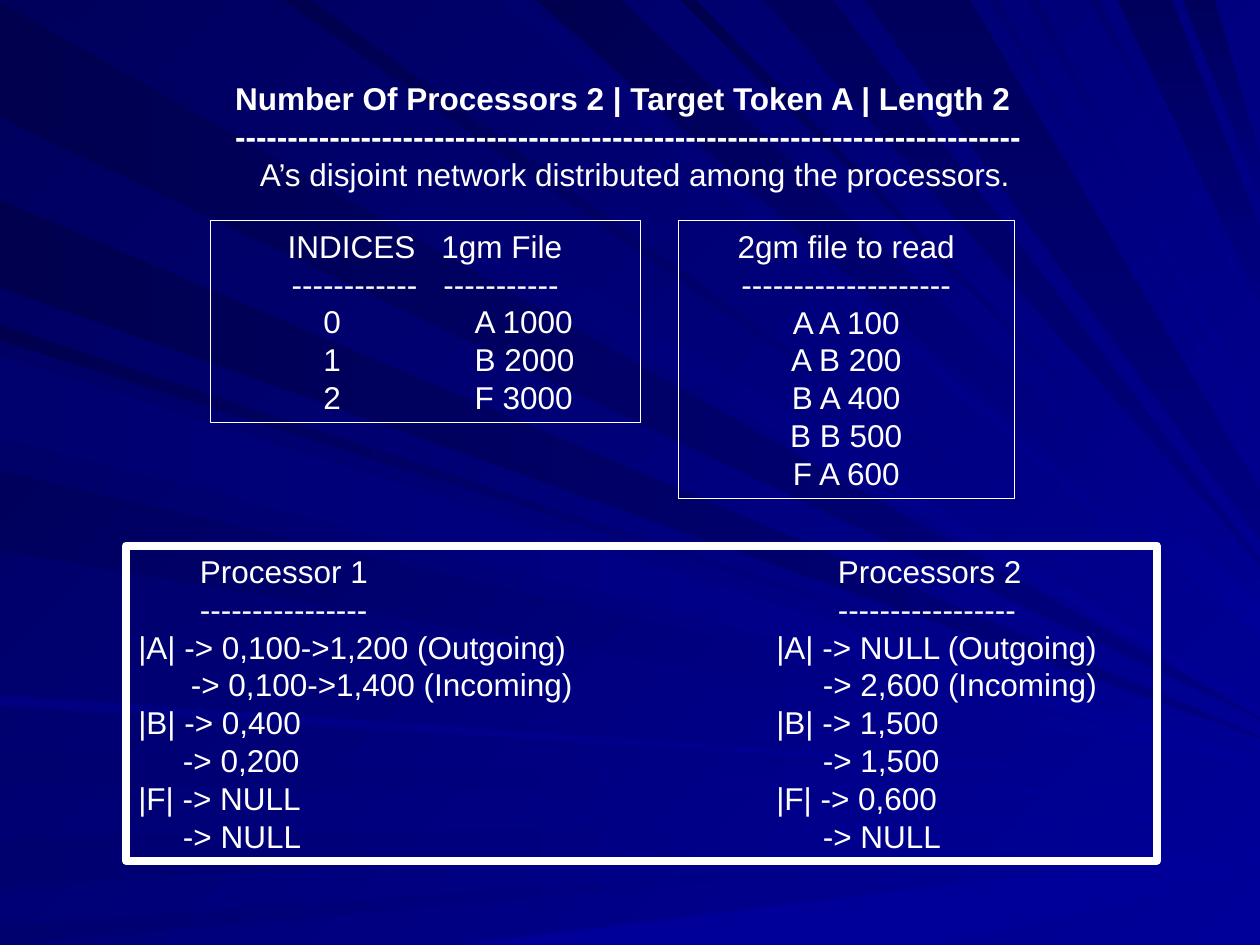
import dataclasses

import lxml.etree
import pptx
import pptx.dml.color
import pptx.enum.shapes
import pptx.enum.text
import pptx.oxml.ns
import pptx.util

Cm = pptx.util.Cm
UP_LEFT, LEFT, DOWN = 135, 180, 270
GRID_WIDTH, GRID_HEIGHT = 1000, 750


@dataclasses.dataclass(frozen=True)
class Box:
    """A region of the slide, in centimetres."""
    left: float
    top: float
    width: float
    height: float

    def lengths(self):
        """Return the four lengths that python-pptx expects."""
        return [Cm(value) for value in dataclasses.astuple(self)]


@dataclasses.dataclass(frozen=True)
class Theme:
    """Colours, type sizes and line widths."""
    font: str = "Arial"
    size: float = 18
    leading: float = 21.6
    ink: str = "FFFFFF"
    thin: float = 0.25
    thick: float = 4.5
    bright: str = "000099"
    middle: str = "000080"
    dusk: str = "00006E"
    dark: str = "00005C"
    night: str = "00004E"


@dataclasses.dataclass(frozen=True)
class RayGroup:
    """Rays from one edge; each has two places on that edge and a height at the right."""
    edge: str
    start: str
    end: str
    direction: int
    rays: tuple
    spread: float = 0.02


THEME = Theme()
RAY_GROUPS = (
    RayGroup("left", THEME.middle, THEME.night, LEFT, ((2, 93, 570), (159, 228, 585))),
    RayGroup("top", THEME.bright, THEME.dark, UP_LEFT, ((26, 101, 563),)),
    RayGroup("left", THEME.bright, THEME.dusk, LEFT, ((596, 623, 632), (665, 704, 647), (735, 750, 662))),
    RayGroup("bottom", THEME.bright, THEME.bright, LEFT, ((364, 742, 683),), 0.06),
    RayGroup("left", THEME.bright, THEME.night, UP_LEFT, ((258, 270, 589),)),
    RayGroup("top", THEME.bright, THEME.dusk, UP_LEFT, ((398, 416, 518),)),
    RayGroup("top", THEME.bright, THEME.night, UP_LEFT, ((426, 492, 493),), 0.42),
    RayGroup("top", THEME.bright, THEME.night, UP_LEFT, ((540, 552, 463), (225, 247, 550))),
    RayGroup("top", THEME.dark, THEME.middle, DOWN, ((606, 661, 446),)),
    RayGroup("top", THEME.dark, THEME.middle, DOWN, ((887, 930, 210), (939, 964, 140)), 1.3),
    RayGroup("left", THEME.bright, THEME.dark, UP_LEFT, ((374, 437, 606),)),
    RayGroup("left", THEME.bright, THEME.middle, LEFT, ((552, 560, 622),)),
    RayGroup("top", THEME.dark, THEME.middle, DOWN, ((686, 770, 409),), 0.45),
    RayGroup("top", THEME.bright, THEME.dusk, UP_LEFT, ((785, 792, 357), (815, 824, 336), (865, 872, 253))),
    RayGroup("left", THEME.bright, THEME.dusk, LEFT, ((283, 347, 604),)),
)


def color(value):
    """Return the colour object for a hexadecimal value."""
    return pptx.dml.color.RGBColor.from_string(value)


def paint(fill, start, end, direction):
    """Fill with a two-stop gradient, or plainly when both stops agree."""
    if start == end:
        fill.solid()
        fill.fore_color.rgb = color(start)
        return
    fill.gradient()
    fill.gradient_angle = direction
    for stop, value in zip(fill.gradient_stops, (start, end)):
        stop.color.rgb = color(value)


def edge_point(edge, place):
    """Return the grid point at a place along an edge."""
    return {"left": (0, place), "top": (place, 0), "bottom": (place, GRID_HEIGHT)}[edge]


def add_rays(slide, box):
    """Draw the background rays, each narrowing or spreading towards the right."""
    left, top, width, _ = box.lengths()
    for group in RAY_GROUPS:
        for first, last, height in group.rays:
            half = group.spread * (last - first) / 2
            upper, lower = (GRID_WIDTH, height - half), (GRID_WIDTH, height + half)
            near, far = edge_point(group.edge, first), edge_point(group.edge, last)
            ends = [upper, lower] if group.edge == "top" else [lower, upper]
            builder = slide.shapes.build_freeform(*near, scale=width / GRID_WIDTH)
            builder.add_line_segments([far, *ends], close=True)
            shape = builder.convert_to_shape(left, top)
            shape.shadow.inherit = False
            shape.line.fill.background()
            paint(shape.fill, group.start, group.end, group.direction)


def add_line(frame, cells, tabs=(), bold=False, indent=0, alignment=pptx.enum.text.PP_ALIGN.LEFT):
    """Write one line whose last cells start at the tab stops."""
    first = not frame.paragraphs[0].runs
    paragraph = frame.paragraphs[0] if first else frame.add_paragraph()
    paragraph.alignment = alignment
    paragraph.line_spacing = pptx.util.Pt(THEME.leading)
    properties = paragraph._p.get_or_add_pPr()
    properties.set("marL", str(Cm(indent)))
    if tabs:
        tab_list = lxml.etree.SubElement(properties, pptx.oxml.ns.qn("a:tabLst"))
        for position in tabs:
            lxml.etree.SubElement(tab_list, pptx.oxml.ns.qn("a:tab"), pos=str(Cm(position)), algn="l")
    for index, cell in enumerate(cells):
        run = paragraph.add_run()
        run.text = "\t" + cell if index >= len(cells) - len(tabs) else cell
        run.font.name = THEME.font
        run.font.size = pptx.util.Pt(THEME.size)
        run.font.bold = bold
        run.font.color.rgb = color(THEME.ink)


def add_panel(slide, box, line_width):
    """Add an outlined rectangle and return its text frame."""
    shape = slide.shapes.add_shape(pptx.enum.shapes.MSO_SHAPE.RECTANGLE, *box.lengths())
    shape.shadow.inherit = False
    shape.fill.background()
    shape.line.color.rgb = color(THEME.ink)
    shape.line.width = pptx.util.Pt(line_width)
    shape.text_frame.word_wrap = True
    shape.text_frame.vertical_anchor = pptx.enum.text.MSO_ANCHOR.MIDDLE
    return shape.text_frame


def add_heading(slide, box):
    """Write the parameters, a rule of dashes and the explanation."""
    frame = slide.shapes.add_textbox(*box.lengths()).text_frame
    frame.word_wrap = True
    frame.vertical_anchor = pptx.enum.text.MSO_ANCHOR.MIDDLE
    for text in ("Number Of Processors 2 | Target Token A | Length 2", "-" * 75):
        add_line(frame, [text], bold=True, indent=0.88)
    add_line(frame, ["A’s disjoint network distributed among the processors."], indent=1.38)


def add_index_panel(slide, box):
    """List the indices beside the 1gm file."""
    frame = add_panel(slide, box, THEME.thin)
    add_line(frame, ["INDICES", "1gm File"], (1.31, 4.41))
    add_line(frame, ["-" * 12, "-" * 11], (1.39, 4.45))
    for index, entry in enumerate(["A 1000", "B 2000", "F 3000"]):
        add_line(frame, [str(index), entry], (2.03, 5.08))


def add_file_panel(slide, box):
    """List the 2gm file, centred."""
    frame = add_panel(slide, box, THEME.thin)
    entries = ["A A 100", "A B 200", "B A 400", "B B 500", "F A 600"]
    for text in ["2gm file to read", "-" * 20, *entries]:
        add_line(frame, [text], alignment=pptx.enum.text.PP_ALIGN.CENTER)


def add_processor_panel(slide, box):
    """Set the networks of both processors side by side."""
    frame = add_panel(slide, box, THEME.thick)
    title, token, detail = (1.24, 14.1), (12.86,), (0.9, 13.8)
    rows = (
        ("Processor 1", "Processors 2", title),
        ("-" * 16, "-" * 17, title),
        ("|A| -> 0,100->1,200 (Outgoing)", "|A| -> NULL (Outgoing)", token),
        ("-> 0,100->1,400 (Incoming)", "-> 2,600 (Incoming)", (1.06, 13.8)),
        ("|B| -> 0,400", "|B| -> 1,500", token),
        ("-> 0,200", "-> 1,500", detail),
        ("|F| -> NULL", "|F| -> 0,600", token),
        ("-> NULL", "-> NULL", detail),
    )
    for first, second, tabs in rows:
        add_line(frame, [first, second], tabs)


def main():
    """Build the slide and save it."""
    page = Box(0, 0, 25.4, 19.05)
    presentation = pptx.Presentation()
    presentation.slide_width, presentation.slide_height = page.lengths()[2:]
    slide = presentation.slides.add_slide(presentation.slide_layouts[6])
    paint(slide.background.fill, THEME.bright, THEME.dark, UP_LEFT)
    add_rays(slide, page)
    add_heading(slide, Box(3.61, 1.47, 17.98, 2.54))
    add_processor_panel(slide, Box(2.54, 11, 20.78, 6.35))
    add_index_panel(slide, Box(4.24, 4.45, 8.66, 4.06))
    add_file_panel(slide, Box(13.67, 4.45, 6.78, 5.59))
    presentation.save("out.pptx")


if __name__ == "__main__":
    main()
